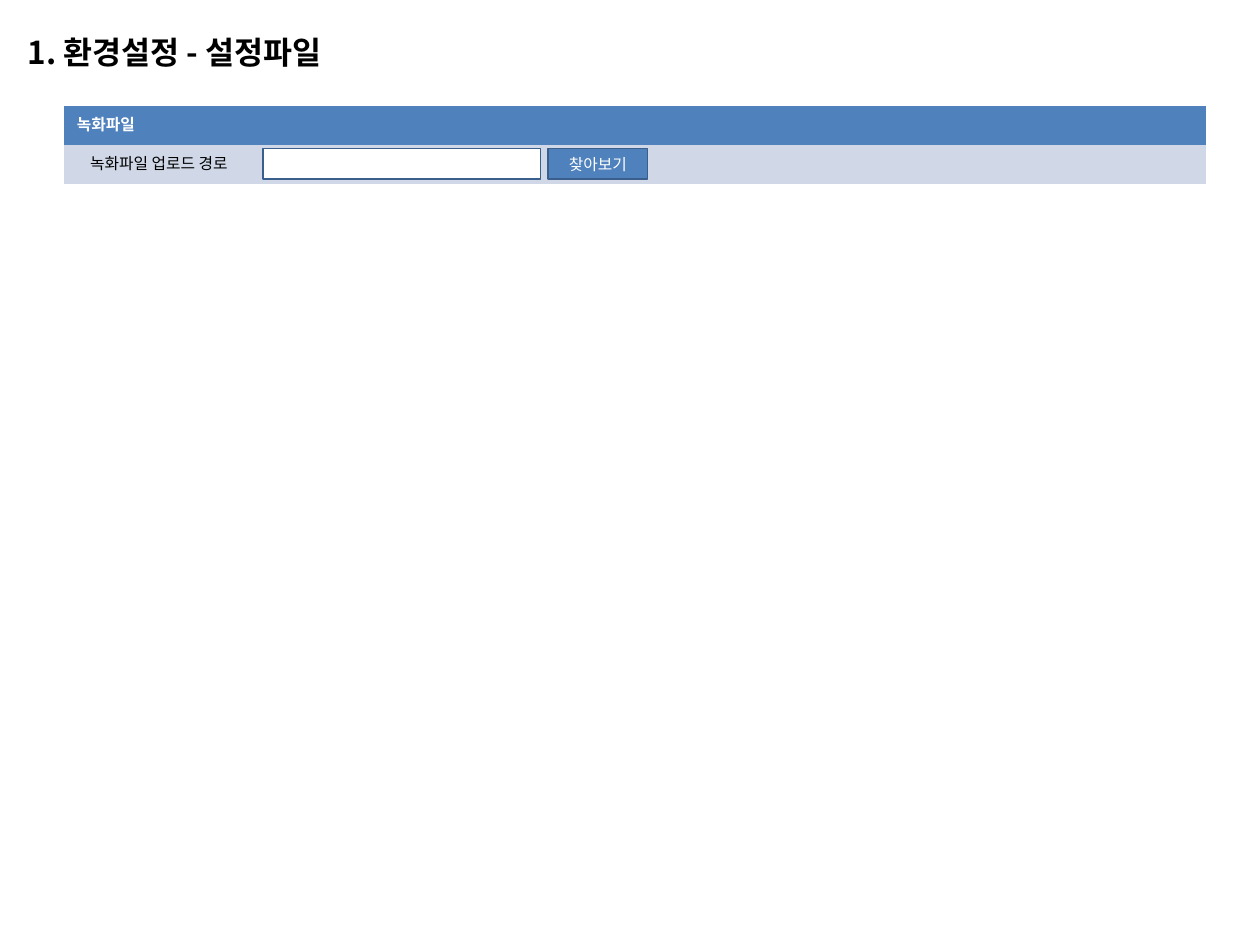
from lxml import etree
from pptx import Presentation
from pptx.dml.color import RGBColor
from pptx.enum import shapes, text
from pptx.oxml import ns
from pptx.util import Inches, Pt

COLORS = {"ink": "000000", "paper": "FFFFFF", "accent": "4F81BD",
          "band": "D0D8E8", "edge": "3A5F8C"}
FONT = "Noto Sans CJK KR"
PLAIN_TABLE = "{2D5ABB26-0587-4C30-8999-92F81FD0307C}"
ROW = 0.31


def color(name):
    """Return the palette colour with the given name."""
    return RGBColor.from_string(COLORS[name])


def place(item, box):
    """Move and size an item to a box given in inches."""
    for side, length in zip(("left", "top", "width", "height"), box):
        setattr(item, side, Inches(length))


def write(frame, words, ink, align="LEFT", size=9, bold=False):
    """Write one formatted line into a text frame."""
    line = frame.paragraphs[0]
    line.alignment = getattr(text.PP_ALIGN, align)
    run = line.add_run()
    run.text = words
    for key, value in {"name": FONT, "size": Pt(size), "bold": bold}.items():
        setattr(run.font, key, value)
    run.font.color.rgb = color(ink)
    east = etree.SubElement(run.font._element, ns.qn("a:ea"))
    east.set("typeface", FONT)


def add_heading(slide, box):
    """Place the page heading in the title placeholder."""
    heading = slide.shapes.title
    place(heading, box)
    frame = heading.text_frame
    settings = {"word_wrap": False, "vertical_anchor": text.MSO_ANCHOR.TOP,
                "auto_size": text.MSO_AUTO_SIZE.SHAPE_TO_FIT_TEXT}
    for key, value in settings.items():
        setattr(frame, key, value)
    write(frame, "1. 환경설정 - 설정파일", "ink", size=18, bold=True)


def add_settings(slide, box):
    """Place the two-row settings table."""
    holder = slide.shapes.add_table(2, 2, *map(Inches, box))
    settings = holder.table
    holder._element.find(".//" + ns.qn("a:tableStyleId")).text = PLAIN_TABLE
    label_width = 1.5
    for column, width in zip(settings.columns, (label_width, box[2] - label_width)):
        column.width = Inches(width)
    for row, fill in zip(settings.rows, ("accent", "band")):
        row.height = Inches(ROW)
        for cell in row.cells:
            cell.fill.solid()
            cell.fill.fore_color.rgb = color(fill)
    header, label, value = (settings.cell(*at) for at in ((0, 0), (1, 0), (1, 1)))
    header.merge(settings.cell(0, 1))
    write(header.text_frame, "녹화파일", "paper", bold=True)
    write(label.text_frame, "녹화파일 업로드 경로", "ink", "CENTER")
    blank = value.text_frame.paragraphs[0]._p
    etree.SubElement(blank, ns.qn("a:endParaRPr")).set("sz", "900")


def add_control(slide, box, fill, words=""):
    """Place an input field or a captioned button."""
    control = slide.shapes.add_shape(shapes.MSO_SHAPE.RECTANGLE, *map(Inches, box))
    control.shadow.inherit = False
    control.fill.solid()
    control.fill.fore_color.rgb = color(fill)
    control.line.color.rgb = color("edge")
    control.line.width = Pt(1)
    if words:
        control.text_frame.vertical_anchor = text.MSO_ANCHOR.MIDDLE
        write(control.text_frame, words, "paper", "CENTER")


def add_path_picker(slide, box):
    """Place the path field and its browse button side by side."""
    left, top, width, height = box
    field, gap = 2.2, 0.06
    add_control(slide, (left, top, field, height), "paper")
    add_control(slide, (left + field + gap, top, width - field - gap, height),
                "accent", "찾아보기")


def main():
    """Build and save the settings slide."""
    deck = Presentation()
    deck.slide_width, deck.slide_height = Inches(10), Inches(7.5)
    slide = deck.slides.add_slide(deck.slide_layouts.get_by_name("Title Only"))
    add_heading(slide, (0.12, 0.21, 2.81, 0.4))
    add_settings(slide, (0.51, 0.84, 9.06, 2 * ROW))
    add_path_picker(slide, (2.09, 1.18, 3.05, 0.24))
    deck.save("out.pptx")


if __name__ == "__main__":
    main()
